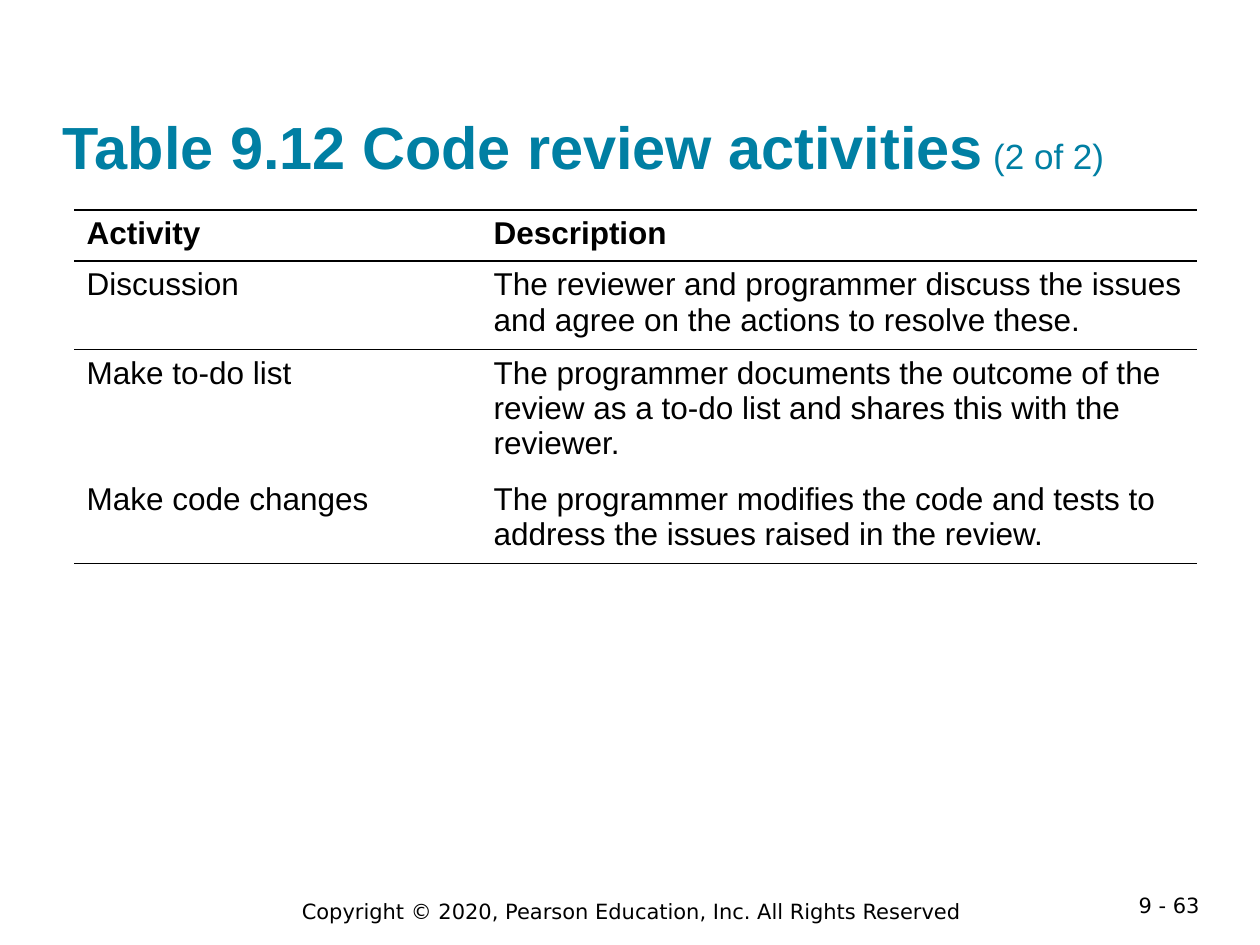
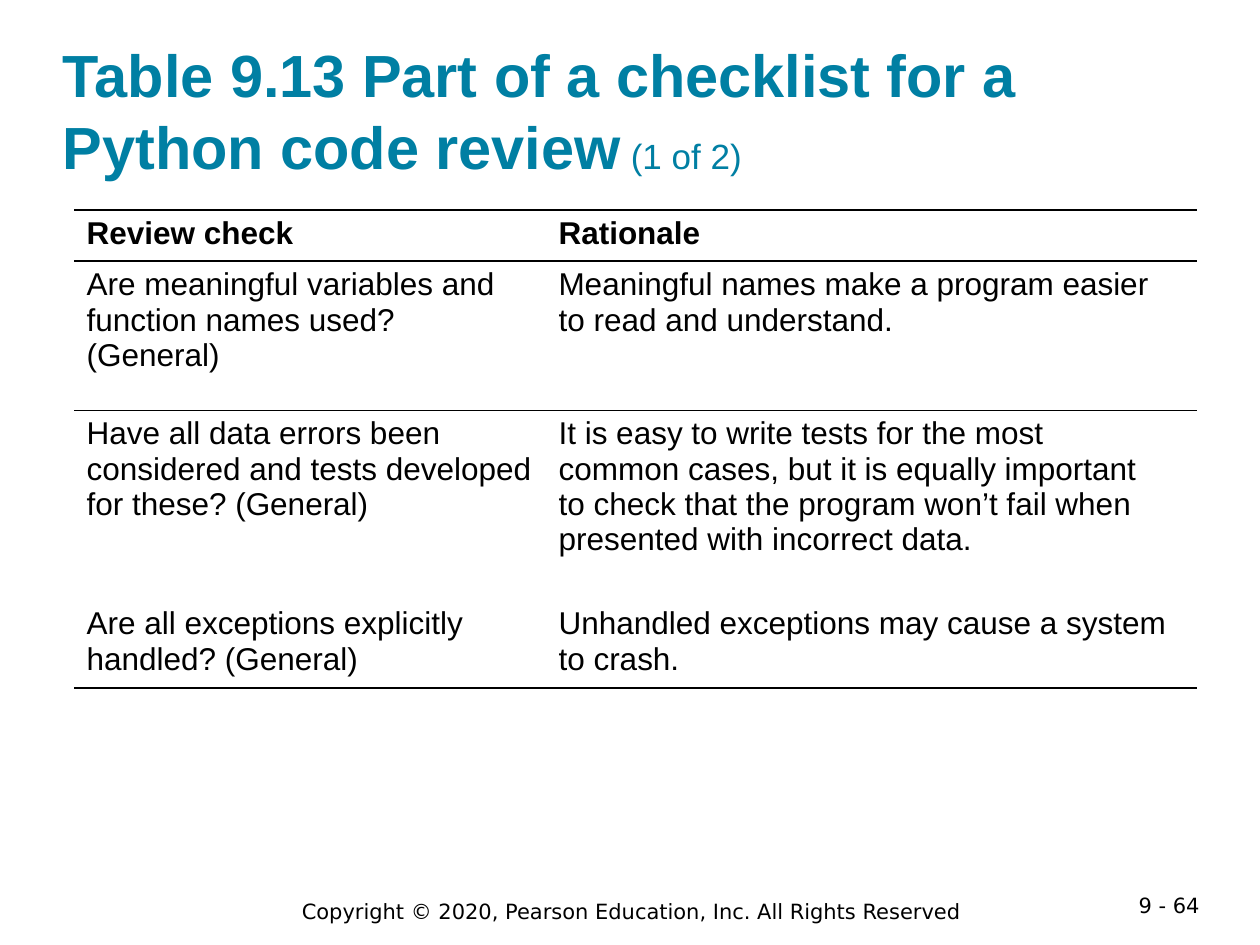
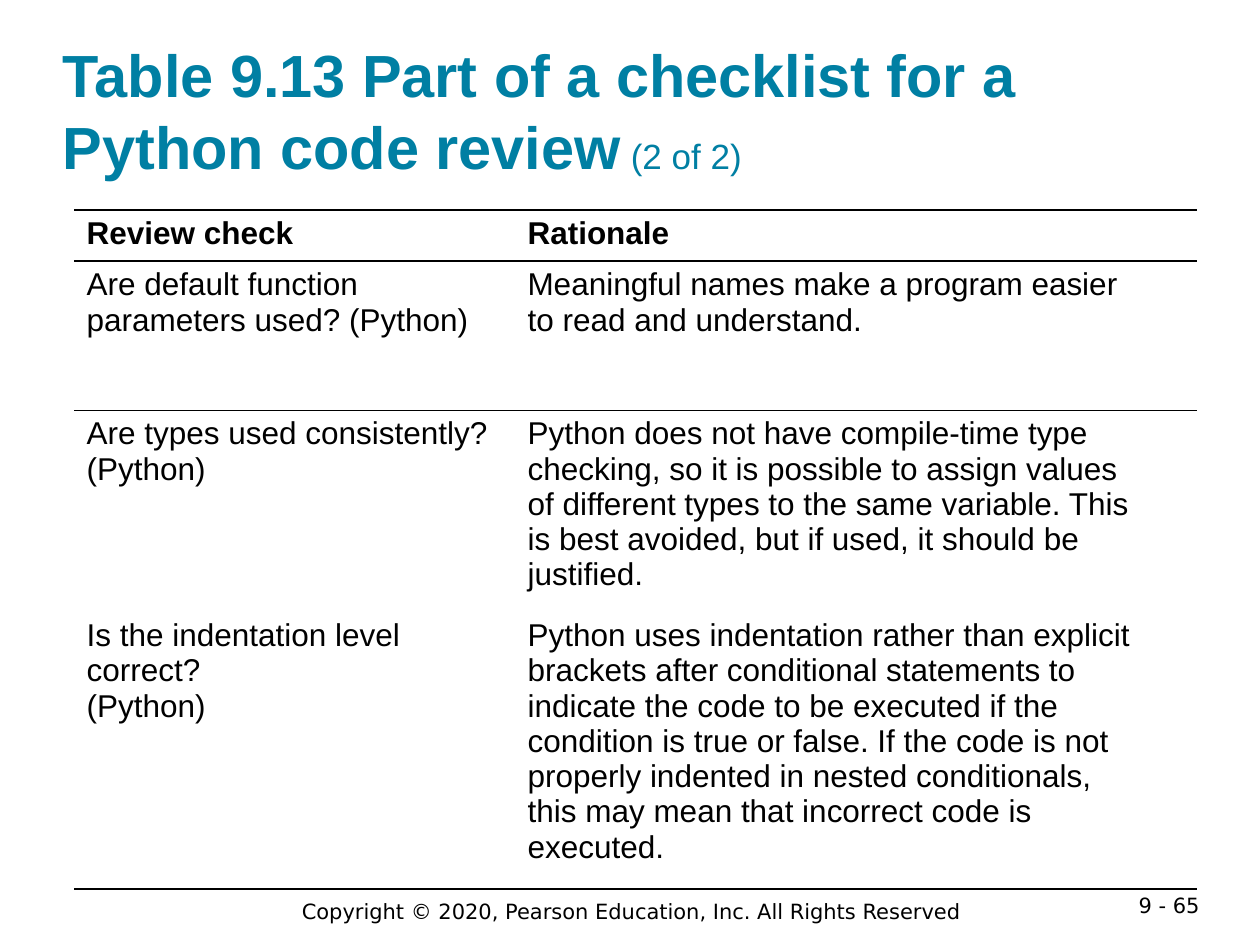
from lxml import etree
from pptx import Presentation
from pptx.dml.color import RGBColor
from pptx.enum import text
from pptx.oxml import ns
from pptx.util import Pt

PX = 914400 // 126
COLORS = {"title": "007FA3", "ink": "000000"}
BODY, FOOT = "Arial", "DejaVu Sans"
RIGHTS = "Copyright © 2020, Pearson Education, Inc. All Rights Reserved"
PLAIN = "{2D5ABB26-0587-4C30-8999-92F81FD0307C}"  # no style, no grid
FIRST = 63
LEFT, TOP, WIDTH, HEAD = 74, 210, 1123, 51
CHECK = ("Review check", "Rationale")
PART = "Table 9.13 Part of a checklist for a Python code review"

SLIDES = [
    {"title": "Table 9.12 Code review activities", "part": "(2 of 2)",
     "split": 407, "rows": [HEAD, HEAD, HEAD, HEAD],
     "cells": [
         ("Activity", "Description"),
         ("Discussion",
          "The reviewer and programmer discuss the issues and agree on "
          "the actions to resolve these."),
         ("Make to-do list",
          "The programmer documents the outcome of the review as a to-do "
          "list and shares this with the reviewer."),
         ("Make code changes",
          "The programmer modifies the code and tests to address the "
          "issues raised in the review.")]},
    {"title": PART, "part": "(1 of 2)",
     "split": 472, "rows": [HEAD, 149, 190, HEAD],
     "cells": [
         CHECK,
         ("Are meaningful variables and function names used? (General)",
          "Meaningful names make a program easier\n"
          "to read and understand."),
         ("Have all data errors been considered and tests developed for "
          "these? (General)",
          "It is easy to write tests for the most\n"
          "common cases, but it is equally important\n"
          "to check that the program won’t fail when\n"
          "presented with incorrect data."),
         ("Are all exceptions explicitly handled? (General)",
          "Unhandled exceptions may cause a system\n"
          "to crash.")]},
    {"title": PART, "part": "(2 of 2)",
     "split": 441, "rows": [HEAD, 149, 190, HEAD],
     "cells": [
         CHECK,
         ("Are default function parameters used? (Python)",
          "Meaningful names make a program easier\n"
          "to read and understand."),
         ("Are types used consistently? (Python)",
          "Python does not have compile-time type\n"
          "checking, so it is possible to assign values\n"
          "of different types to the same variable. This\n"
          "is best avoided, but if used, it should be\n"
          "justified."),
         ("Is the indentation level correct?\n(Python)",
          "Python uses indentation rather than explicit\n"
          "brackets after conditional statements to\n"
          "indicate the code to be executed if the\n"
          "condition is true or false. If the code is not\n"
          "properly indented in nested conditionals,\n"
          "this may mean that incorrect code is\n"
          "executed.")]},
]


def style(run, size, face, color="ink", bold=False):
    run.font.size, run.font.name, run.font.bold = Pt(size), face, bold
    run.font.color.rgb = RGBColor.from_string(COLORS[color])


def box(slide, left, top, width, height):
    frame = slide.shapes.add_textbox(
        *(n * PX for n in (left, top, width, height))).text_frame
    frame.word_wrap = True
    return frame


def title(slide, words, part):
    frame = box(slide, 63, 30, 1134, 151)
    frame.vertical_anchor = text.MSO_ANCHOR.BOTTOM
    frame.margin_left = frame.margin_right = 0
    frame.margin_top = frame.margin_bottom = 0
    para = frame.paragraphs[0]
    for words, size, bold in ((words, 34, True), (" ", 20, True),
                              (part, 20, False)):
        run = para.add_run()
        run.text = words
        style(run, size, BODY, "title", bold)


def foot(slide, words, place, align, anchor):
    frame = box(slide, *place)
    frame.text = words
    frame.vertical_anchor = anchor
    para = frame.paragraphs[0]
    para.alignment = align
    style(para.runs[0], 12, FOOT)


def rule(cell, side, width):
    """Draw one border of a cell; side is T or B."""
    line = etree.SubElement(cell._tc.get_or_add_tcPr(), ns.qn("a:ln" + side),
                            w=str(Pt(width)))
    fill = etree.SubElement(line, ns.qn("a:solidFill"))
    etree.SubElement(fill, ns.qn("a:srgbClr"), val=COLORS["ink"])


def grid(slide, cells, split, rows):
    table = slide.shapes.add_table(
        len(cells), 2, LEFT * PX, TOP * PX, WIDTH * PX, sum(rows) * PX).table
    table._tbl.tblPr.find(ns.qn("a:tableStyleId")).text = PLAIN
    table.horz_banding = False
    for col, width in zip(table.columns, (split, WIDTH - split)):
        col.width = width * PX
    under = {0: 1, 1: 0.5, len(cells) - 1: 1}
    for r, (row, height) in enumerate(zip(cells, rows)):
        table.rows[r].height = height * PX
        for c, words in enumerate(row):
            cell = table.cell(r, c)
            cell.text = words
            for para in cell.text_frame.paragraphs:
                style(para.runs[0], 18, BODY, bold=r == 0)
            if r < 2:
                rule(cell, "T", 1)
            if r in under:
                rule(cell, "B", under[r])
            cell.fill.background()


def main():
    deck = Presentation()
    deck.slide_width, deck.slide_height = 1260 * PX, 945 * PX
    for page, item in enumerate(SLIDES, FIRST):
        slide = deck.slides.add_slide(deck.slide_layouts[6])
        foot(slide, f"9 - {page}", (1086, 886, 126, 28),
             text.PP_ALIGN.RIGHT, text.MSO_ANCHOR.TOP)
        foot(slide, RIGHTS, (206, 892, 851, 38),
             text.PP_ALIGN.CENTER, text.MSO_ANCHOR.MIDDLE)
        grid(slide, item["cells"], item["split"], item["rows"])
        title(slide, item["title"], item["part"])
    deck.save("out.pptx")


if __name__ == "__main__":
    main()
